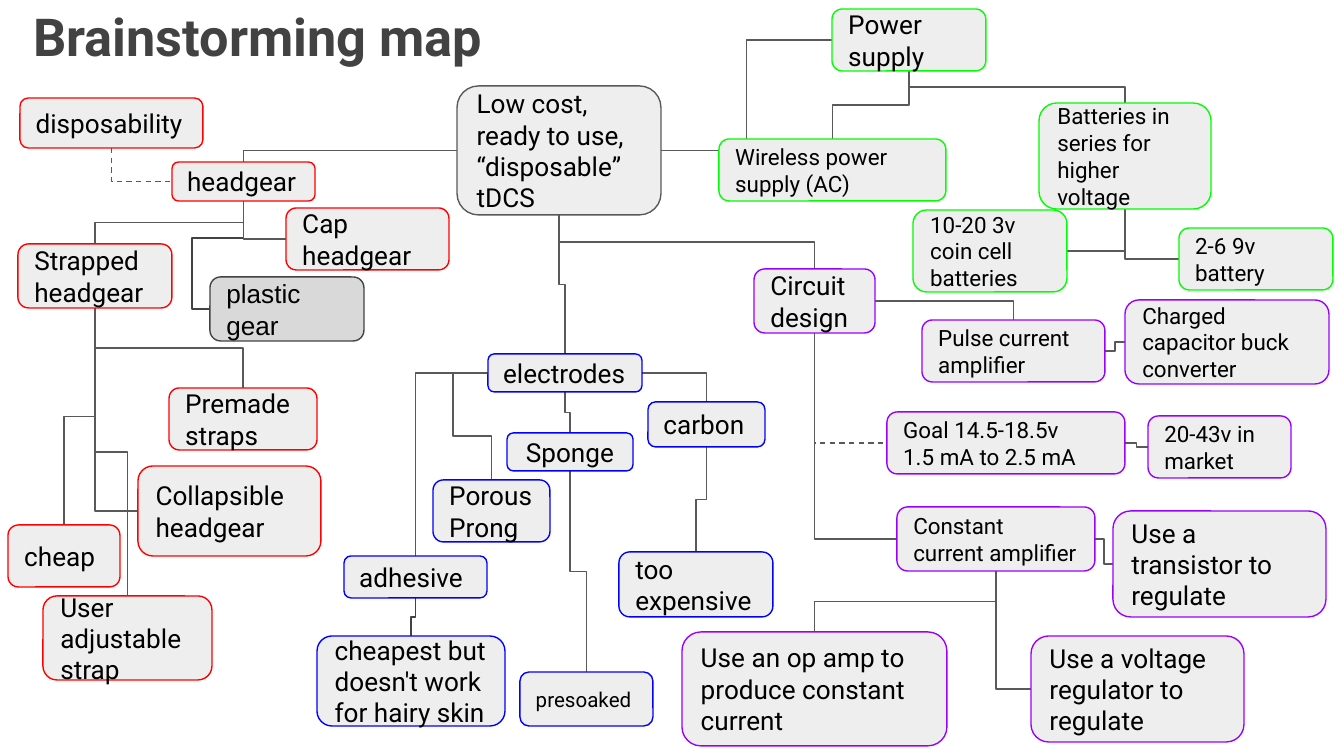
import pptx
import pptx.dml.color
import pptx.enum.dml
import pptx.enum.shapes
import pptx.enum.text
import pptx.oxml.ns
import pptx.oxml.xmlchemy
import pptx.util

THEME = {
    "ink": "000000", "title": "424242", "wire": "595959", "dark": "424242",
    "fill": "EEEEEE", "grey": "D9D9D9",
    "red": "FF0000", "green": "00FF00", "blue": "0000FF", "violet": "9900FF",
    "face": "Roboto", "alt": "Arial",
    "head": 28, "big": 14, "mid": 12, "small": 11, "line": 0.75,
}
SCALE = 9144000 / 1344
TOP, LEFT, BOTTOM, RIGHT = range(4)


def px(*sizes):
    return [pptx.util.Emu(round(size * SCALE)) for size in sizes]


def write(shape, text, size="big", color="ink", face="face", bold=False,
          align="LEFT", anchor="MIDDLE"):
    frame = shape.text_frame
    frame.word_wrap = True
    frame.vertical_anchor = getattr(pptx.enum.text.MSO_ANCHOR, anchor)
    pad = pptx.util.Inches(0.1)
    frame.margin_left = frame.margin_right = pad
    frame.margin_top = frame.margin_bottom = pad
    frame.text = text
    for para in frame.paragraphs:
        para.alignment = getattr(pptx.enum.text.PP_ALIGN, align)
        for run in para.runs:
            run.font.name = THEME[face]
            run.font.size = pptx.util.Pt(THEME[size])
            run.font.bold = bold
            run.font.color.rgb = pptx.dml.color.RGBColor.from_string(THEME[color])


deck = pptx.Presentation()
deck.slide_width, deck.slide_height = px(1344, 756)
slide = deck.slides.add_slide(deck.slide_layouts[6])

# Title
title = slide.shapes.add_textbox(*px(20, -9, 1034, 93))
write(title, "Brainstorming map", size="head", color="title", bold=True, anchor="TOP")

# Idea boxes: name, place, line colour, text, text format
ideas = [
    ("core", (457, 86, 204, 129), "wire", "Low cost, ready to use, “disposable” tDCS", {}),
    ("head", (172, 162, 143, 39), "red", "headgear", {}),
    ("pads", (488, 354, 154, 38), "blue", "electrodes", {}),
    ("power", (832, 9, 154, 62), "green", "Power supply", {}),
    ("cap", (286, 208, 163, 62), "red", "Cap headgear", {}),
    ("strap", (18, 244, 154, 64), "red", "Strapped headgear", {}),
    ("sponge", (507, 433, 126, 38), "blue", "Sponge", {"align": "CENTER"}),
    ("mains", (719, 139, 227, 62), "green", "Wireless power supply (AC)", {"size": "mid"}),
    ("glue", (344, 556, 143, 42), "blue", "adhesive", {}),
    ("pulse", (922, 320, 183, 62), "violet", "Pulse current amplifier", {"size": "mid"}),
    ("costly", (619, 552, 154, 65), "blue", "too expensive", {}),
    ("hair", (317, 636, 188, 90), "blue", "cheapest but doesn't work for hairy skin", {}),
    ("cheap", (8, 525, 112, 62), "red", "cheap", {}),
    ("buck", (1125, 300, 204, 84), "violet", "Charged capacitor buck converter", {"size": "mid"}),
    ("series", (1039, 103, 172, 106), "green", "Batteries in series for higher voltage",
     {"size": "mid"}),
    ("waste", (20, 98, 183, 50), "red", "disposability", {}),
    ("carbon", (648, 402, 117, 45), "blue", "carbon", {}),
    ("coin", (913, 210, 154, 82), "green", "10-20 3v coin cell batteries", {"size": "mid"}),
    ("prong", (433, 480, 117, 62), "blue", "Porous Prong", {}),
    ("soak", (520, 672, 133, 54), "blue", "presoaked", {"size": "small"}),
    ("nine", (1179, 228, 154, 62), "green", "2-6 9v battery", {"size": "mid"}),
    ("goal", (887, 412, 238, 62), "violet", "Goal 14.5-18.5v\n1.5 mA to 2.5 mA", {"size": "mid"}),
    ("made", (169, 388, 148, 62), "red", "Premade straps", {}),
    ("market", (1148, 416, 143, 62), "violet", "20-43v in market", {"size": "mid"}),
    ("user", (43, 596, 169, 84), "red", "User adjustable strap", {}),
    ("fold", (138, 466, 183, 90), "red", "Collapsible headgear", {}),
    ("circuit", (754, 269, 121, 64), "violet", "Circuit design", {}),
    ("steady", (897, 507, 198, 64), "violet", "Constant current amplifier", {"size": "mid"}),
    ("trans", (1113, 511, 213, 106), "violet", "Use a transistor to regulate", {}),
    ("volt", (1031, 636, 213, 106), "violet", "Use a voltage regulator to regulate", {}),
    ("opamp", (682, 632, 265, 114), "violet", "Use an op amp to produce constant current", {}),
    ("gear", (210, 277, 154, 64), "dark", "plastic gear", {"face": "alt"}),
]
boxes = {}
for name, place, edge, text, style in ideas:
    box = slide.shapes.add_shape(pptx.enum.shapes.MSO_SHAPE.ROUNDED_RECTANGLE, *px(*place))
    box.shadow.inherit = False
    box.fill.solid()
    shade = THEME["grey" if name == "gear" else "fill"]
    box.fill.fore_color.rgb = pptx.dml.color.RGBColor.from_string(shade)
    box.line.color.rgb = pptx.dml.color.RGBColor.from_string(THEME[edge])
    box.line.width = pptx.util.Pt(THEME["line"])
    write(box, text, **style)
    boxes[name] = box

# Links: start box and side, end box and side, extras (via is a bend point)
links = [
    ("core", RIGHT, "power", LEFT, {}),
    ("core", LEFT, "head", TOP, {}),
    ("core", BOTTOM, "pads", TOP, {}),
    ("core", BOTTOM, "circuit", TOP, {}),
    ("waste", BOTTOM, "head", LEFT, {"dash": True}),
    ("head", BOTTOM, "cap", LEFT, {}),
    ("head", BOTTOM, "strap", TOP, {}),
    ("gear", LEFT, "head", BOTTOM, {"via": (192, 238), "color": "dark"}),
    ("strap", BOTTOM, "cheap", TOP, {}),
    ("strap", BOTTOM, "made", TOP, {}),
    ("strap", BOTTOM, "user", TOP, {}),
    ("fold", LEFT, "strap", BOTTOM, {}),
    ("pads", BOTTOM, "sponge", TOP, {}),
    ("pads", RIGHT, "carbon", TOP, {}),
    ("pads", LEFT, "prong", TOP, {"via": (453, 436)}),
    ("pads", LEFT, "glue", TOP, {}),
    ("sponge", BOTTOM, "soak", TOP, {}),
    ("carbon", BOTTOM, "costly", TOP, {}),
    ("glue", BOTTOM, "hair", TOP, {"color": "dark"}),
    ("power", BOTTOM, "mains", TOP, {}),
    ("power", BOTTOM, "series", TOP, {}),
    ("series", BOTTOM, "coin", RIGHT, {}),
    ("series", BOTTOM, "nine", LEFT, {}),
    ("circuit", RIGHT, "pulse", TOP, {}),
    ("circuit", BOTTOM, "goal", LEFT, {"dash": True}),
    ("circuit", BOTTOM, "steady", LEFT, {}),
    ("pulse", RIGHT, "buck", LEFT, {}),
    ("goal", RIGHT, "market", LEFT, {}),
    ("steady", RIGHT, "trans", LEFT, {}),
    ("opamp", TOP, "steady", BOTTOM, {}),
    ("steady", BOTTOM, "volt", LEFT, {}),
]
qn = pptx.oxml.ns.qn
make = pptx.oxml.xmlchemy.OxmlElement
for start, out, end, into, extra in links:
    wire = slide.shapes.add_connector(pptx.enum.shapes.MSO_CONNECTOR.ELBOW, 0, 0, 0, 0)
    wire.begin_connect(boxes[start], out)
    wire.end_connect(boxes[end], into)
    wire.line.color.rgb = pptx.dml.color.RGBColor.from_string(THEME[extra.get("color", "wire")])
    wire.line.width = pptx.util.Pt(THEME["line"])
    if "dash" in extra:
        wire.line.dash_style = pptx.enum.dml.MSO_LINE.DASH

    # Turn and flip so that the wire leaves its first box at a right angle
    x, y = wire.begin_x, wire.begin_y
    dx, dy = wire.end_x - x, wire.end_y - y
    wide, high = abs(dx), abs(dy)
    if out in (LEFT, RIGHT):
        turn, flip = (180 if dy < 0 else 0), (dx < 0) != (dy < 0)
    else:
        turn, flip = (90 if dx < 0 else 270), (dy < 0 if dx < 0 else dy > 0)
        wide, high = high, wide
    wire.left, wire.top = round(x + (dx - wide) / 2), round(y + (dy - high) / 2)
    wire.width, wire.height = wide, high
    props = wire.element.spPr
    frame = props.find(qn("a:xfrm"))
    for key in ("flipH", "flipV"):
        frame.attrib.pop(key, None)
    frame.set("rot", str(turn * 60000))
    if flip:
        frame.set("flipH", "1")

    # Number of bends and where they fall
    if "via" in extra:
        across, down = px(*extra["via"])
        kind, bends = 4, [(across - x) / dx, (down - y) / dy]
    elif out % 2 == into % 2:
        kind, bends = 3, [0.5]
    else:
        kind, bends = 2, []
    shape = props.find(qn("a:prstGeom"))
    shape.set("prst", f"bentConnector{kind}")
    guides = shape.get_or_add_avLst()
    for spot, bend in enumerate(bends, 1):
        guide = make("a:gd")
        guide.set("name", f"adj{spot}")
        guide.set("fmla", f"val {round(bend * 100000)}")
        guides.append(guide)
    props.append(make("a:effectLst"))
    title.element.addnext(wire.element)  # behind the boxes

deck.save("out.pptx")
